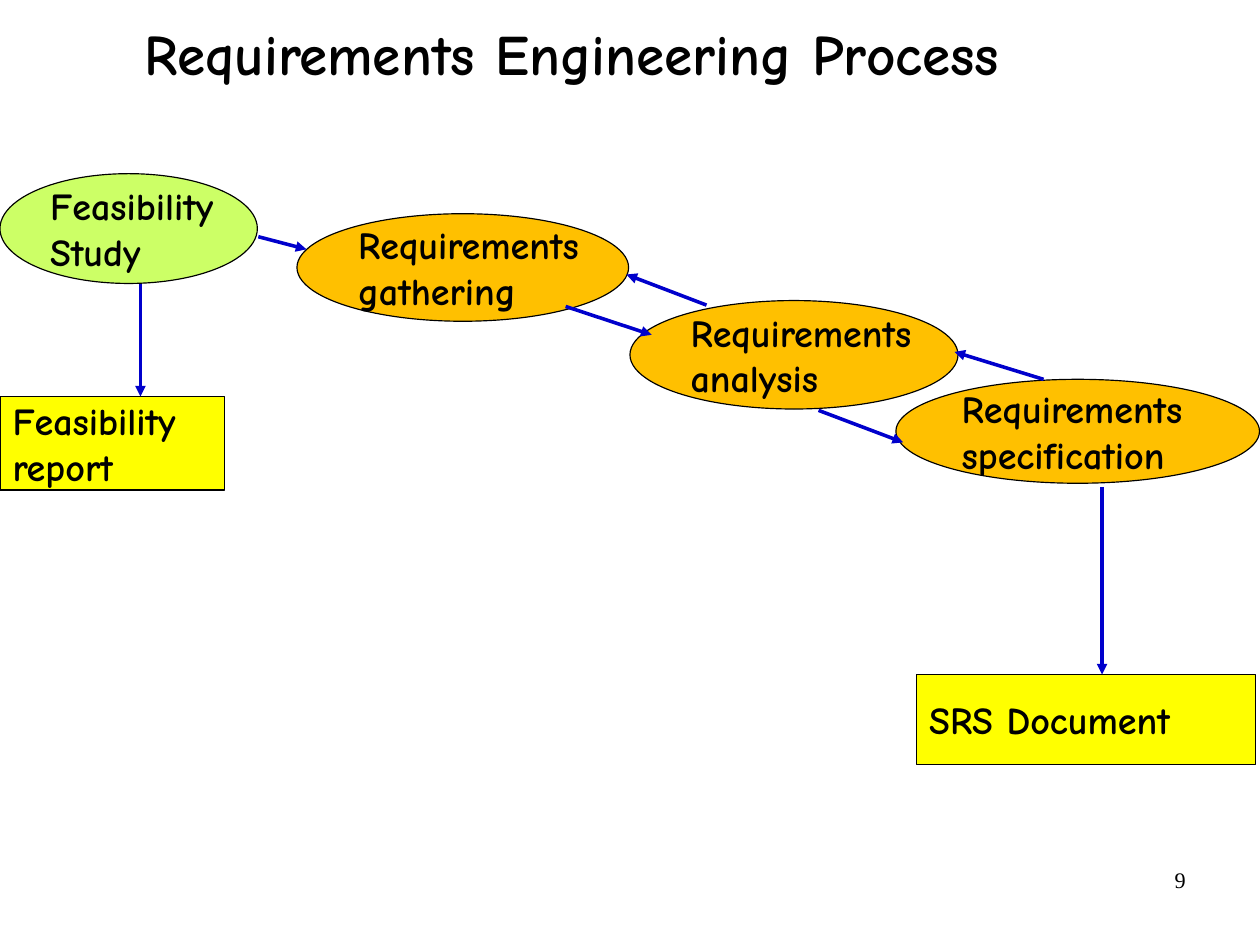
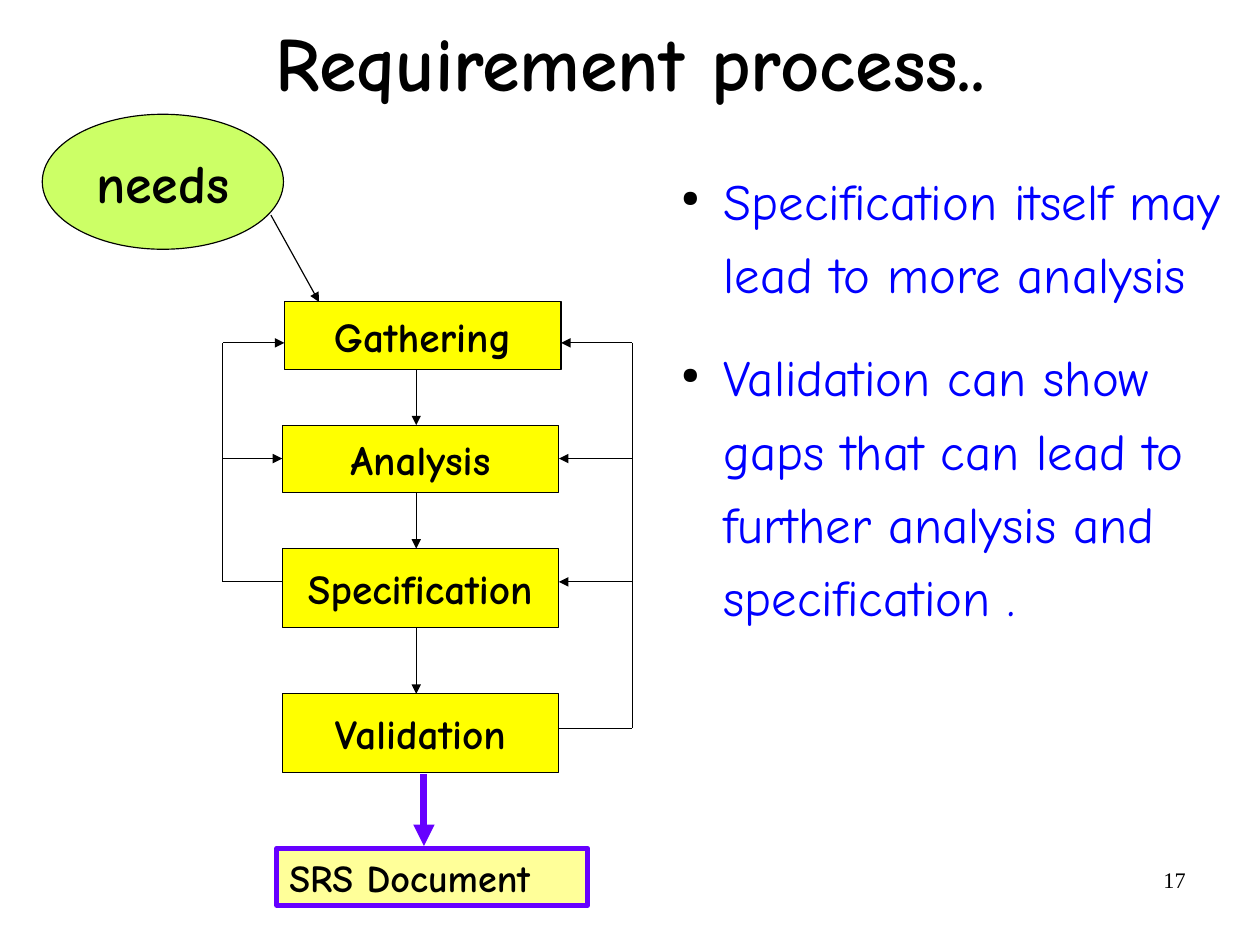
from lxml import etree
from pptx import Presentation
from pptx.dml.color import RGBColor
from pptx.enum.shapes import MSO_CONNECTOR, MSO_SHAPE
from pptx.enum.text import MSO_ANCHOR, MSO_AUTO_SIZE, PP_ALIGN
from pptx.oxml.ns import qn
from pptx.util import Cm, Pt

LINE = MSO_CONNECTOR.STRAIGHT
OVAL, RECT = MSO_SHAPE.OVAL, MSO_SHAPE.RECTANGLE
TOP, MIDDLE = MSO_ANCHOR.TOP, MSO_ANCHOR.MIDDLE
FIXED = MSO_AUTO_SIZE.NONE
LEFT, CENTER, RIGHT = PP_ALIGN.LEFT, PP_ALIGN.CENTER, PP_ALIGN.RIGHT

HUES = {
    "ink": "000000",
    "lime": "CCFF66",
    "amber": "FFC000",
    "yellow": "FFFF00",
    "cream": "FFFF99",
    "violet": "6600FF",
    "navy": "0000CC",
    "blue": "0000FF",
}
FONT, SERIF = "Comic Neue", "Times New Roman"


def hue(name):
    """Return a named colour."""
    return RGBColor.from_string(HUES[name])


def write(frame, lines, size, align=LEFT, anchor=MIDDLE, bold=True,
          ink="ink", font=FONT, wrap=True, pad=(0.28, 0.15)):
    """Fill a text frame and format its runs."""
    frame.auto_size = FIXED
    frame.word_wrap = wrap
    frame.vertical_anchor = anchor
    frame.margin_left = frame.margin_right = Cm(pad[0])
    frame.margin_top = frame.margin_bottom = Cm(pad[1])
    frame.text = "\n".join(lines)
    for par in frame.paragraphs:
        par.alignment = align
        for run in par.runs:
            run.font.name = font
            run.font.size = Pt(size)
            run.font.bold = bold
            run.font.color.rgb = hue(ink)


def add_slide(deck, title, spot, number, size, **style):
    """Add a slide with its title and page number."""
    slide = deck.slides.add_slide(deck.slide_layouts[5])
    head = slide.shapes.title
    head.left, head.top, head.width, head.height = map(Cm, spot)
    write(head.text_frame, [title], size, **style)
    page = slide.shapes.add_textbox(Cm(20.07), Cm(19.13), Cm(6.53), Cm(1.45))
    write(page.text_frame, [number], 14, RIGHT, TOP, False, font=SERIF,
          pad=(0.25, 0.13))
    return slide


def add_node(slide, kind, spot, lines, fill, size=24, align=LEFT,
             edge="ink", weight=0.75):
    """Add a filled, outlined shape with text."""
    node = slide.shapes.add_shape(kind, *map(Cm, spot))
    node.shadow.inherit = False
    node.fill.solid()
    node.fill.fore_color.rgb = hue(fill)
    node.line.color.rgb = hue(edge)
    node.line.width = Pt(weight)
    write(node.text_frame, lines, size, align, wrap=False)


def add_line(slide, start, end, ink="ink", weight=0.75, arrow=True):
    """Add a straight line, with an arrowhead unless told otherwise."""
    link = slide.shapes.add_connector(LINE, *map(Cm, (*start, *end)))
    link.line.color.rgb = hue(ink)
    link.line.width = Pt(weight)
    if arrow:
        tip = etree.SubElement(link.line._get_or_add_ln(), qn("a:tailEnd"))
        tip.set("type", "triangle")
    etree.SubElement(link._element.spPr, qn("a:effectLst"))


def add_list(slide, spot, items):
    """Add a bulleted list."""
    frame = slide.shapes.add_textbox(*map(Cm, spot)).text_frame
    write(frame, items, 32, anchor=TOP, bold=False, ink="blue")
    for num, par in enumerate(frame.paragraphs):
        props = par._p.get_or_add_pPr()
        props.set("marL", str(Cm(1.14)))
        props.set("indent", str(Cm(-0.94)))
        tint = etree.SubElement(props, qn("a:buClr"))
        etree.SubElement(tint, qn("a:srgbClr")).set("val", HUES["ink"])
        etree.SubElement(props, qn("a:buSzPct")).set("val", "45000")
        etree.SubElement(props, qn("a:buChar")).set("char", "●")
        par.line_spacing = 1.2
        par.space_before = Pt(8 if num else 0)
        par.space_after = Pt(11)


def draw_stages(deck):
    """Draw the stages from study to document."""
    slide = add_slide(deck, "Requirements Engineering Process",
                      (2.92, 0.53, 23.09, 1.3), "9", 36)
    nodes = (
        (OVAL, (0, 3.86, 5.72, 2.44), ["Feasibility", "Study"], "lime"),
        (OVAL, (6.6, 4.75, 7.37, 2.39), ["Requirements", "gathering"], "amber"),
        (OVAL, (14, 6.68, 7.29, 2.41), ["Requirements", "analysis"], "amber"),
        (OVAL, (19.91, 8.43, 8.08, 2.31), ["Requirements", "specification"],
         "amber"),
        (RECT, (0, 8.81, 5, 2.08), ["Feasibility", "report"], "yellow"),
        (RECT, (20.37, 14.99, 7.54, 2.01), ["SRS Document"], "yellow"),
    )
    for node in nodes:
        add_node(slide, *node)
    arrows = (
        ((5.74, 5.26), (6.81, 5.54)),
        ((12.57, 6.81), (14.48, 7.44)),
        ((15.7, 6.78), (13.92, 6.1)),
        ((18.19, 9.12), (20.07, 9.83)),
        ((23.19, 8.43), (21.21, 7.82)),
        ((3.12, 6.3), (3.12, 8.81)),
        ((24.49, 10.82), (24.49, 14.99)),
    )
    for start, end in arrows:
        add_line(slide, start, end, "navy", 2.25)


def draw_loops(deck):
    """Draw the process with its feedback loops."""
    slide = add_slide(deck, "Requirement process..", (2.06, 0.51, 23.9, 3.48),
                      "17", 48, align=CENTER, anchor=TOP, pad=(0, 0))
    slide.shapes.title.text_frame.paragraphs[0].line_spacing = 0.94
    add_list(slide, (14.66, 3.35, 13.36, 13.26), [
        "Specification itself may lead to more analysis",
        "Validation can show gaps that can lead to further analysis and "
        "specification .",
    ])
    add_node(slide, OVAL, (0.94, 2.54, 5.36, 3), ["needs"], "lime", 34, CENTER)
    add_line(slide, (6.02, 4.78), (7.09, 6.71))

    wide = 6.15
    steps = (
        ("Gathering", 6.32, 6.71, 1.5, 7.62),
        ("Analysis", 6.27, 9.45, 1.5, 10.19),
        ("Specification", 6.27, 12.19, 1.75, 12.93),
        ("Validation", 6.27, 15.42, 1.75, 16.18),
    )
    for name, left, top, high, _ in steps:
        add_node(slide, RECT, (left, top, wide, high), [name], "yellow", 26,
                 CENTER)
    for (_, _, top, high, _), (_, _, below, _, _) in zip(steps, steps[1:]):
        add_line(slide, (9.25, top + high), (9.25, below))

    for spine, shift, count in ((4.95, 0, 3), (14.05, wide, 4)):
        *goals, source = [(left + shift, row)
                          for _, left, _, _, row in steps[:count]]
        add_line(slide, source, (spine, source[1]), arrow=False)
        add_line(slide, (spine, source[1]), (spine, goals[0][1]), arrow=False)
        for goal in goals:
            add_line(slide, (spine, goal[1]), goal)

    add_node(slide, RECT, (6.15, 18.85, 6.91, 1.27), ["SRS Document"],
             "cream", edge="violet", weight=3)
    add_line(slide, (9.42, 17.2), (9.42, 18.8), "violet", 4.5)


def main():
    """Build and save the deck."""
    deck = Presentation()
    deck.slide_width, deck.slide_height = Cm(28), Cm(21)
    draw_stages(deck)
    draw_loops(deck)
    deck.save("out.pptx")


if __name__ == "__main__":
    main()
